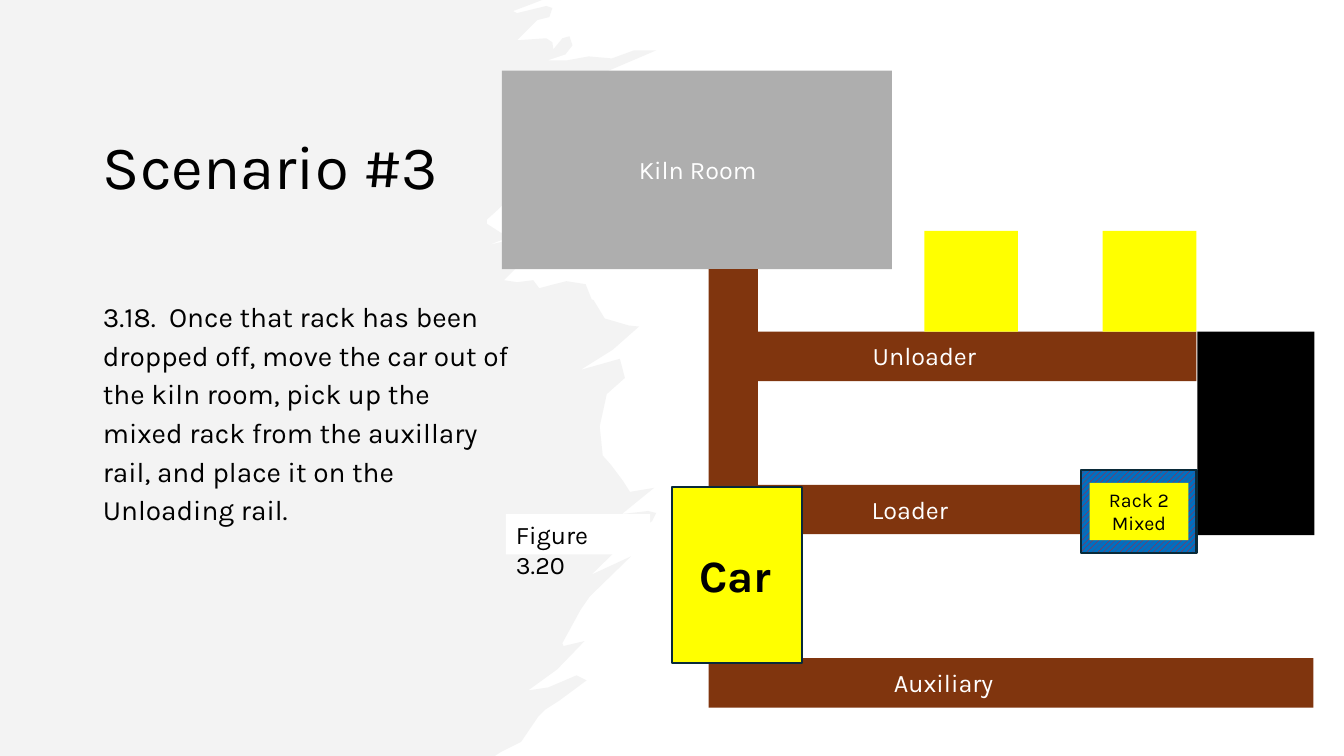
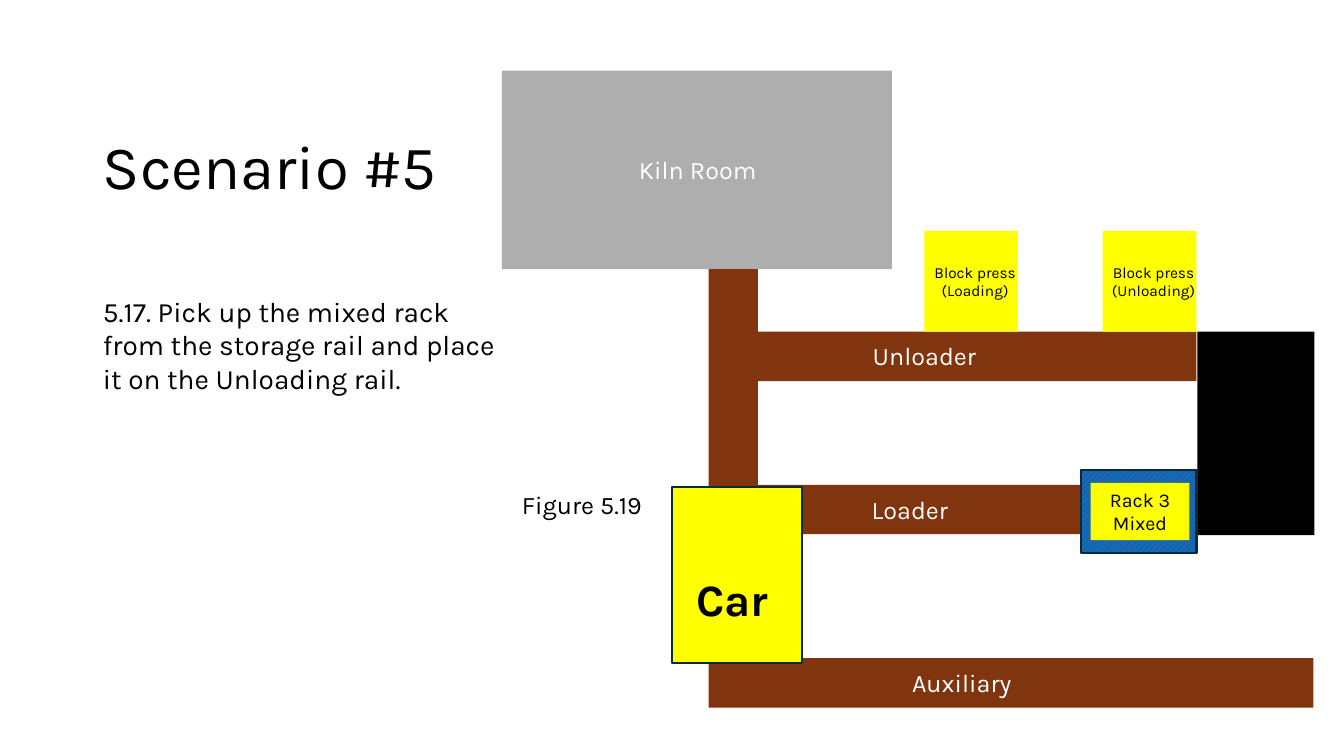
from dataclasses import dataclass
from typing import Any, Optional

import lxml.etree
import pptx
import pptx.dml.color
import pptx.enum.dml
import pptx.enum.shapes
import pptx.enum.text
import pptx.oxml.ns
import pptx.util

RGB = pptx.dml.color.RGBColor
ALIGN = pptx.enum.text.PP_ALIGN
ANCHOR = pptx.enum.text.MSO_ANCHOR

BLACK = RGB(0x00, 0x00, 0x00)
WHITE = RGB(0xFF, 0xFF, 0xFF)
GRAY = RGB(0xAE, 0xAE, 0xAE)
PALE = RGB(0xF3, 0xF3, 0xF3)
BROWN = RGB(0x80, 0x35, 0x0E)
YELLOW = RGB(0xFF, 0xFF, 0x00)
BLUE = RGB(0x00, 0x70, 0xC0)
RED = RGB(0xFF, 0x00, 0x00)
NAVY = RGB(0x09, 0x2A, 0x39)

FONT = "Karla"
WIDE = pptx.util.Emu(12192000)
HIGH = pptx.util.Emu(6858000)
ROWS = 75
CELL = HIGH / ROWS

BRUSH = [
    (538, 0), (0, 0), (0, 750), (491, 750), (497, 746), (517, 736), (534, 711),
    (541, 704), (555, 695), (582, 675), (572, 670), (544, 682), (524, 685),
    (553, 664), (580, 636), (559, 641), (558, 638), (576, 605), (585, 592),
    (626, 552), (587, 570), (627, 531), (647, 517), (651, 509), (643, 507),
    (617, 510), (649, 484), (625, 488), (618, 477), (606, 461), (598, 452),
    (595, 423), (602, 391), (620, 375), (615, 356), (576, 367), (608, 347),
    (634, 324), (624, 323), (600, 316), (589, 298), (587, 297), (581, 282),
    (562, 279), (546, 283), (535, 286), (529, 278), (513, 280), (500, 278),
    (513, 265), (531, 265), (544, 256), (556, 241), (598, 217), (606, 208),
    (545, 229), (485, 243), (522, 229), (497, 231), (483, 222), (483, 218),
    (493, 209), (499, 203), (516, 182), (504, 180), (500, 175), (503, 169),
    (539, 150), (542, 135), (535, 133), (527, 134), (534, 122), (559, 110),
    (564, 104), (558, 101), (553, 99), (602, 71), (651, 50), (629, 50),
    (607, 58), (584, 56), (562, 60), (543, 60), (561, 54), (568, 45),
    (565, 36), (558, 38), (549, 49), (548, 42), (542, 38), (513, 40),
    (533, 20), (545, 17), (548, 8), (542, 6), (513, 13), (509, 11), (525, 5),
]


@dataclass(frozen=True)
class Box:
    col: float
    row: float
    cols: float
    rows: float


@dataclass(frozen=True)
class Block:
    box: Box
    fill: RGB
    edged: bool = False
    striped: bool = False


@dataclass(frozen=True)
class Label:
    text: str
    box: Box
    size: int = 18
    color: RGB = BLACK
    bold: bool = False
    center: bool = False
    fill: Optional[RGB] = None
    inset: float = 0


@dataclass(frozen=True)
class Scene:
    title: str
    body: str
    pitch: float
    labels: list[Label]
    brushed: bool = False


TITLE = Box(9.2, 7, 42.5, 19.7)
BODY = Box(9.2, 28.7, 42.5, 38.9)

RAIL = 4.9
STEM = 70.3
BRANCH = STEM + RAIL
UNLOAD, LOAD, SPARE = 32.9, 48.1, 65.3
PRESS = 9.3

BLOCKS = [
    Block(Box(49.8, 7, 38.7, 19.7), GRAY),
    Block(Box(STEM, 26.7, RAIL, 43.5), BROWN),
    Block(Box(BRANCH, UNLOAD, 43.5, RAIL), BROWN),
    Block(Box(BRANCH, LOAD, 43.5, RAIL), BROWN),
    Block(Box(BRANCH, SPARE, 55.1, RAIL), BROWN),
    Block(Box(118.8, UNLOAD, 11.6, 20.2), BLACK),
    *(Block(Box(col, 22.9, PRESS, 10), YELLOW) for col in (91.7, 109.4)),
    Block(Box(107.2, 46.6, 11.5, 8.3), BLUE, edged=True, striped=True),
    Block(Box(66.7, 48.3, 12.9, 17.5), YELLOW, edged=True),
]

COMMON = [
    Label("Unloader", Box(85.6, 33.3, 12.6, 4.2), color=WHITE),
    Label("Loader", Box(85.5, 48.5, 12.6, 4.2), color=WHITE),
    Label("Kiln Room", Box(62.4, 14.8, 13.7, 4), color=WHITE),
]


def spare(col: float) -> Label:
    return Label("Auxiliary", Box(col, 65.7, 12.6, 4.2), color=WHITE)


def car(col: float, row: float) -> Label:
    return Label("Car", Box(col, row, 9.5, 6.4), size=32, bold=True)


def rack(name: str, col: float) -> Label:
    box = Box(col, 47.9, 9.8, 5.7)
    return Label(f"{name}\nMixed", box, size=14, center=True, fill=YELLOW)


def press(task: str, col: float) -> Label:
    box = Box(col, 25.6, 13.3, 4.7)
    return Label(f"Block press ({task})", box, size=11, center=True)


SCENES = [
    Scene(
        "Scenario #3",
        "3.18.  Once that rack has been dropped off, move the car out of the "
        "kiln room, pick up the mixed rack from the auxillary rail, and place "
        "it on the Unloading rail.",
        1.15,
        [
            Label("Figure 3.20", Box(50.2, 51, 14.3, 4), fill=WHITE, inset=4),
            rack("Rack 2", 108.1),
            car(68.4, 53.8),
            spare(87.7),
        ],
        brushed=True,
    ),
    Scene(
        "Scenario #5",
        "5.17. Pick up the mixed rack from the storage rail and place it on "
        "the Unloading rail.",
        1.0,
        [
            Label("Figure 5.19", Box(50.8, 48.1, 13.9, 4), fill=WHITE),
            rack("Rack 3", 108.2),
            car(68.1, 56.2),
            press("Loading", 90.1),
            press("Unloading", 107.8),
            spare(89.5),
        ],
    ),
]


def span(cells: float) -> pptx.util.Emu:
    return pptx.util.Emu(round(cells * CELL))


def place(box: Box) -> list[pptx.util.Emu]:
    return [span(side) for side in (box.col, box.row, box.cols, box.rows)]


def style(para: Any, size: int, color: RGB, bold: bool = False) -> None:
    font = para.font
    font.name = FONT
    font.size = pptx.util.Pt(size)
    font.color.rgb = color
    font.bold = bold


def paint(shape: Any, color: RGB) -> None:
    shape.shadow.inherit = False
    shape.fill.solid()
    shape.fill.fore_color.rgb = color
    shape.line.fill.background()


def draw_brush(slide: Any) -> None:
    pen = slide.shapes.build_freeform(*BRUSH[0], scale=CELL / 10)
    pen.add_line_segments(BRUSH[1:], close=True)
    paint(pen.convert_to_shape(), PALE)


def draw_block(slide: Any, block: Block) -> None:
    kind = pptx.enum.shapes.MSO_SHAPE.RECTANGLE
    shape = slide.shapes.add_shape(kind, *place(block.box))
    paint(shape, block.fill)
    if block.striped:
        shape.fill.patterned()
        shape.fill.pattern = pptx.enum.dml.MSO_PATTERN.WIDE_UPWARD_DIAGONAL
        shape.fill.fore_color.rgb = RED
        shape.fill.back_color.rgb = block.fill
    if block.edged:
        shape.line.color.rgb = NAVY
        shape.line.width = pptx.util.Pt(1.5)


def draw_label(slide: Any, label: Label) -> None:
    shape = slide.shapes.add_textbox(*place(label.box))
    if label.fill is not None:
        shape.fill.solid()
        shape.fill.fore_color.rgb = label.fill
    frame = shape.text_frame
    frame.word_wrap = True
    frame.margin_right = span(1 if label.center else label.inset)
    frame.text = label.text
    for para in frame.paragraphs:
        para.alignment = ALIGN.CENTER if label.center else ALIGN.LEFT
        style(para, label.size, label.color, label.bold)


def fill_holder(
    shape: Any, box: Box, text: str, size: int, pitch: float, anchor: Any
) -> None:
    shape.left, shape.top, shape.width, shape.height = place(box)
    frame = shape.text_frame
    frame.auto_size = pptx.enum.text.MSO_AUTO_SIZE.NONE
    frame.vertical_anchor = anchor
    frame.text = text
    para = frame.paragraphs[0]
    props = para._p.get_or_add_pPr()
    props.set("marL", "0")
    props.set("indent", "0")
    lxml.etree.SubElement(props, pptx.oxml.ns.qn("a:buNone"))
    para.alignment = ALIGN.LEFT
    para.line_spacing = pitch
    para.space_before = pptx.util.Pt(0)
    style(para, size, BLACK)


def draw_scene(deck: Any, scene: Scene) -> None:
    slide = deck.slides.add_slide(deck.slide_layouts[1])
    title, body = slide.placeholders
    if scene.brushed:
        draw_brush(slide)
        brush = slide.shapes[-1]._element
        title._element.addprevious(brush)
    fill_holder(title, TITLE, scene.title, 44, 0.9, ANCHOR.MIDDLE)
    fill_holder(body, BODY, scene.body, 20, scene.pitch, ANCHOR.TOP)
    for block in BLOCKS:
        draw_block(slide, block)
    for label in COMMON + scene.labels:
        draw_label(slide, label)


def main() -> None:
    deck = pptx.Presentation()
    deck.slide_width, deck.slide_height = WIDE, HIGH
    for scene in SCENES:
        draw_scene(deck, scene)
    deck.save("out.pptx")


if __name__ == "__main__":
    main()
